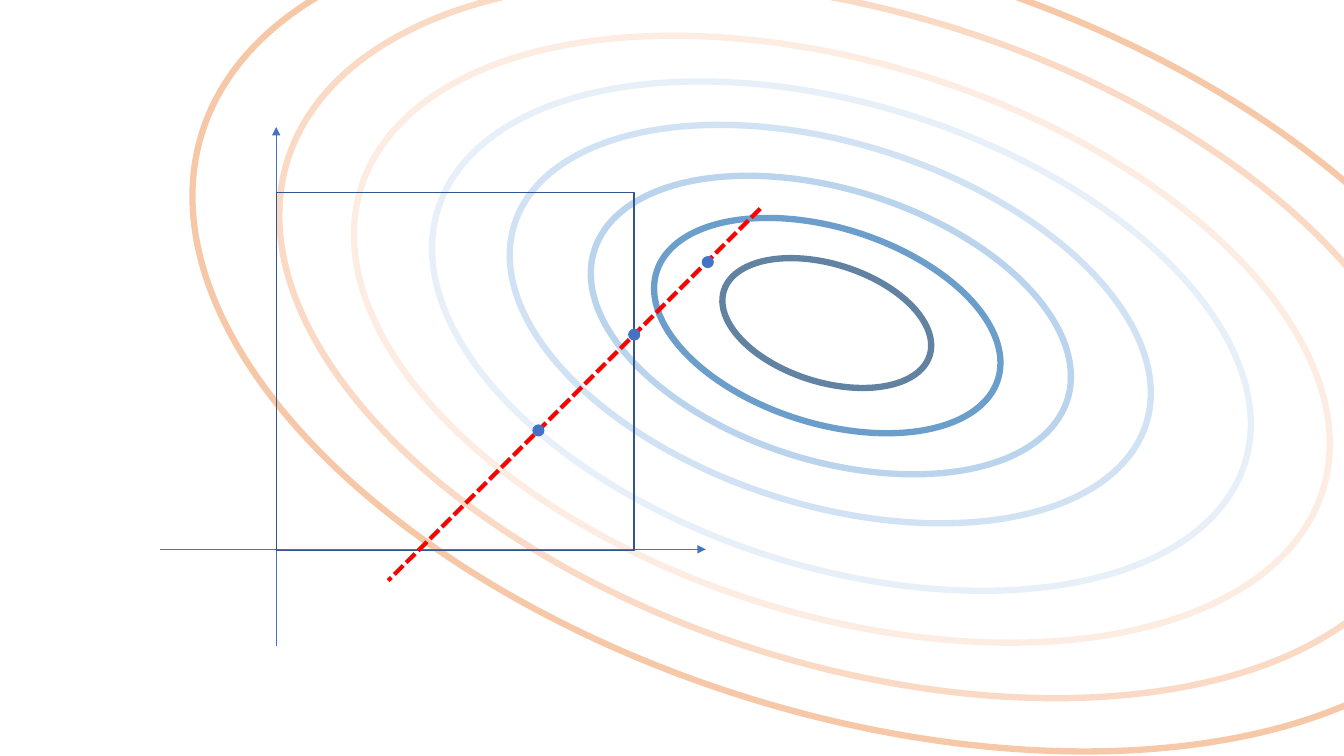
import pptx
import pptx.dml.color
import pptx.enum.dml
import pptx.enum.shapes
import pptx.oxml.ns
import pptx.util
from lxml import etree

SCALE = 9144  # EMU per px, 100 px to the inch
AXIS_BLUE = "4472C4"
SHAPES = pptx.enum.shapes.MSO_SHAPE


def color(hex_string):
    return pptx.dml.color.RGBColor.from_string(hex_string)


def add_line(x1, y1, x2, y2, line_color, points):
    """Add a straight connector without shadow."""
    line = page.shapes.add_connector(
        pptx.enum.shapes.MSO_CONNECTOR.STRAIGHT,
        x1 * SCALE, y1 * SCALE, x2 * SCALE, y2 * SCALE)
    line.line.color.rgb = color(line_color)
    line.line.width = pptx.util.Pt(points)
    etree.SubElement(line._element.spPr, pptx.oxml.ns.qn("a:effectLst"))
    return line


deck = pptx.Presentation()
deck.slide_width = 1333 * SCALE
deck.slide_height = 750 * SCALE
page = deck.slides.add_slide(deck.slide_layouts[6])

# Tilted contour rings, innermost first: left, top, width, color
CONTOUR_RATIO = 0.547
contours = [
    (713, 262, 214, "1F4E79"),
    (643, 226, 355, "2E75B6"),
    (578, 188, 492, "9DC3E6"),
    (495, 142, 657, "BDD7EE"),
    (415, 104, 839, "DEEBF7"),
    (335, 63, 1000, "FBE5D6"),
    (258, 13, 1183, "F8CBAD"),
    (169, -36, 1360, "F4B183"),
]
for left, top, width, ring_color in contours:
    height = round(width * CONTOUR_RATIO)
    ring = page.shapes.add_shape(
        SHAPES.OVAL, left * SCALE, top * SCALE, width * SCALE, height * SCALE)
    ring.rotation = 17.5
    ring.shadow.inherit = False
    ring.fill.background()
    ring.line.color.rgb = color(ring_color)
    ring.line.width = pptx.util.Pt(4.5)
    stroke = next(ring.line._ln.iter(pptx.oxml.ns.qn("a:srgbClr")))
    etree.SubElement(stroke, pptx.oxml.ns.qn("a:alpha"), val="70000")

# Axes
for ends in [(159, 545, 700, 545), (274, 641, 274, 126)]:
    axis = add_line(*ends, AXIS_BLUE, 0.5)
    etree.SubElement(axis.line._ln, pptx.oxml.ns.qn("a:tailEnd"), type="triangle")

# Feasible square
square = page.shapes.add_shape(
    SHAPES.RECTANGLE, 274 * SCALE, 191 * SCALE, 355 * SCALE, 355 * SCALE)
square.shadow.inherit = False
square.fill.background()
square.line.color.rgb = color("325491")
square.line.width = pptx.util.Pt(1)

# Search direction and the points on it
search = add_line(754, 207, 385, 576, "FF0000", 3)
search.line.dash_style = pptx.enum.dml.MSO_LINE.SQUARE_DOT
search.line._ln.find(pptx.oxml.ns.qn("a:prstDash")).set("val", "sysDash")

DOT_SIZE = 12
for left, top in [(696, 254), (623, 326), (528, 421)]:
    dot = page.shapes.add_shape(
        SHAPES.OVAL, left * SCALE, top * SCALE, DOT_SIZE * SCALE, DOT_SIZE * SCALE)
    dot.shadow.inherit = False
    dot.fill.solid()
    dot.fill.fore_color.rgb = color(AXIS_BLUE)
    dot.line.fill.background()

deck.save("out.pptx")
